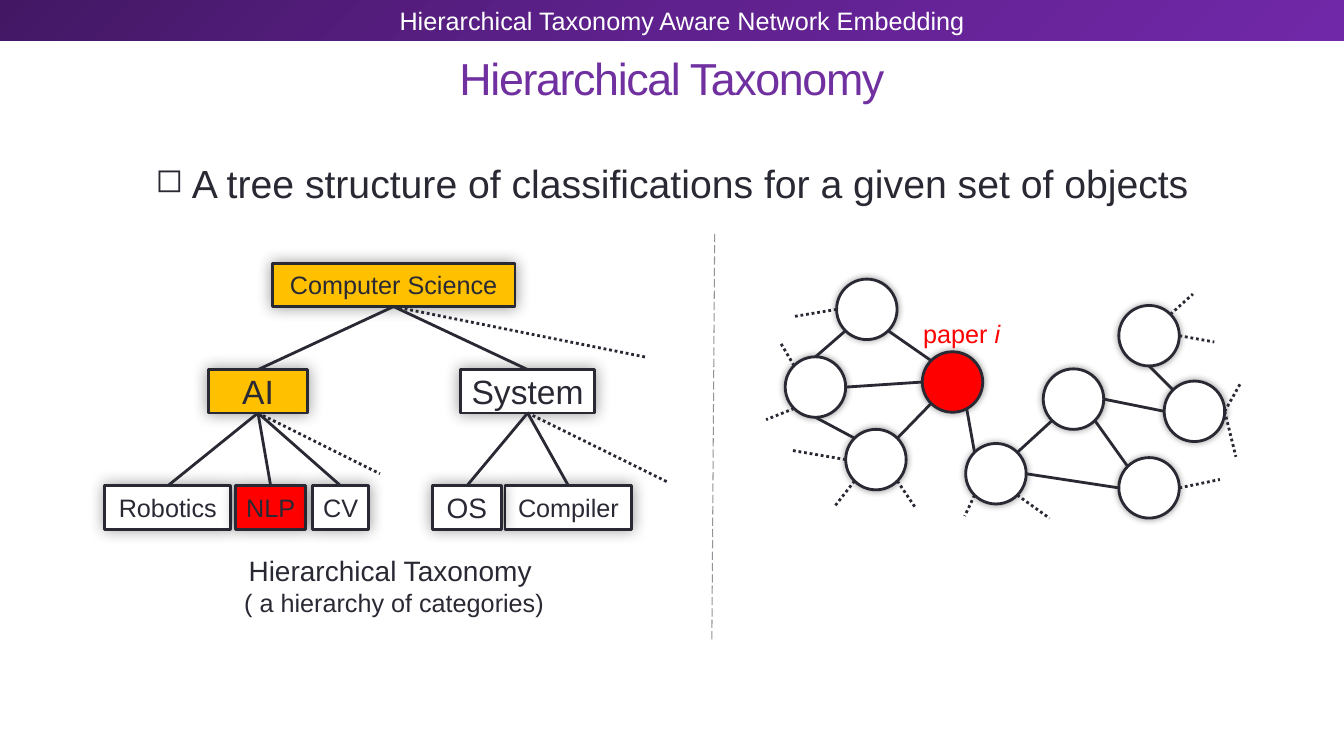
from copy import deepcopy
from math import cos, radians, sin
from lxml.etree import SubElement as Sub
from pptx import Presentation
from pptx.dml.color import RGBColor
from pptx.enum.dml import MSO_LINE as Dash
from pptx.enum.shapes import MSO_CONNECTOR as Link, MSO_SHAPE as Kind
from pptx.enum.text import MSO_ANCHOR as Anchor, PP_ALIGN as Align
from pptx.oxml.ns import qn
from pptx.util import Pt

INK, WHITE, RED, GOLD, PURPLE = "292934", "FFFFFF", "FF0000", "FFC000", "7030A0"
RADIUS = 21.6
ROW = 31


def paint(color, code):
    color.rgb = RGBColor.from_string(code)


def fade(color_tag, percent):
    Sub(color_tag, qn("a:alpha"), val=str(percent * 1000))


def write(par, text, size, code=INK, italic=False):
    run = par.add_run()
    run.text = text
    font = run.font
    font.name, font.size = "Arial", Pt(size)
    if italic:
        font.italic = True
    paint(font.color, code)
    return run


def text_box(slide, box, align=Align.CENTER, anchor=Anchor.TOP, wrap=True):
    frame = slide.shapes.add_textbox(*map(Pt, box)).text_frame
    frame.word_wrap, frame.vertical_anchor = wrap, anchor
    frame.paragraphs[0].alignment = align
    return frame


def block(slide, kind, box, code, blur):
    shape = slide.shapes.add_shape(kind, *map(Pt, box))
    shape.fill.solid()
    paint(shape.fill.fore_color, code)
    paint(shape.line.color, INK)
    shape.line.width = Pt(2)
    # soft glow-like shadow
    shape.shadow.inherit = False
    glow = Sub(shape._element.spPr.find(qn("a:effectLst")), qn("a:outerShdw"),
               blurRad=str(Pt(blur)), dist="0", dir="0", algn="ctr", rotWithShape="0")
    fade(Sub(glow, qn("a:srgbClr"), val="000000"), 40)
    return shape


def join(slide, start, end, width=2, dash=None):
    line = slide.shapes.add_connector(Link.STRAIGHT, *map(Pt, (*start, *end)))
    paint(line.line.color, INK)
    line.line.width = Pt(width)
    if dash:
        line.line.dash_style = dash
    Sub(line._element.spPr, qn("a:effectLst"))
    return line


def banner(slide, x, y, w, h):
    bar = slide.shapes.add_shape(Kind.RECTANGLE, *map(Pt, (x, y, w, h)))
    bar.shadow.inherit = False
    bar.line.fill.background()
    bar.fill.gradient()
    bar.fill.gradient_angle = 315
    stops = bar._element.spPr.find(".//" + qn("a:gsLst"))
    stops.append(deepcopy(stops[-1]))
    codes = ("431764", "5F218E", "7128A8")
    for stop, place, code in zip(bar.fill.gradient_stops, (0, 0.5, 1), codes):
        stop.position = place
        paint(stop.color, code)
    frame = text_box(slide, (x + 264, y + 1.5, 432, 26), Align.RIGHT, Anchor.MIDDLE)
    write(frame.paragraphs[0], "Hierarchical Taxonomy Aware Network Embedding", 18, WHITE)


def title(slide, *box):
    frame = text_box(slide, box, anchor=Anchor.MIDDLE)
    run = write(frame.paragraphs[0], "Hierarchical Taxonomy", 32, PURPLE)
    run._r.get_or_add_rPr().set("spc", "-100")


def claim(slide, *box):
    par = text_box(slide, box).paragraphs[0]
    props = par._p.get_or_add_pPr()
    props.set("marL", str(Pt(14.4)))
    props.set("indent", str(Pt(-14.4)))
    Sub(Sub(props, qn("a:buClr")), qn("a:srgbClr"), val=INK)
    Sub(props, qn("a:buSzPct"), val="85000")
    Sub(props, qn("a:buChar"), char="◻")
    write(par, " A tree structure of classifications for a given set of objects", 28)


def network(slide, x, y):
    nodes = {
        "a": (42.5, 96.5), "b": (85.7, 148.3), "c": (79.2, 41),
        "paper": (140.4, 92.9), "e": (171.4, 158.4), "f": (226.8, 105.1),
        "g": (280.8, 59.8), "h": (280.8, 168.5), "i": (313.2, 113.8)}
    # angles on the rim, clockwise from the right
    edges = [
        ("c", 45, "paper", 225), ("a", 0, "paper", 180), ("b", 315, "paper", 135),
        ("paper", 62, "e", 225), ("f", 135, "e", 315), ("c", 135, "a", 270),
        ("b", 225, "a", 90), ("h", 225, "f", 45), ("i", 225, "g", 90),
        ("i", 180, "f", 0), ("h", 180, "e", 0)]
    # dotted stubs: node, angle, reach
    stubs = [
        ("i", 0, 11, -19.5), ("i", 0, 8, 32.5), ("h", 0, 29, -6),
        ("g", 0, 25, 4.5), ("g", 315, 16, -14.5), ("b", 135, -14.5, 18.5),
        ("e", 135, -7, 15), ("b", 45, 12.5, 18.5), ("a", 135, -20, 8),
        ("b", 180, -38, -6.5), ("c", 180, -30, 5), ("a", 225, -9.5, -16),
        ("e", 45, 23, 16.5)]

    def rim(name, angle):
        cx, cy = nodes[name]
        turn = radians(angle)
        return x + cx + RADIUS * cos(turn), y + cy + RADIUS * sin(turn)

    for name, (cx, cy) in nodes.items():
        box = (x + cx - RADIUS, y + cy - RADIUS, 2 * RADIUS, 2 * RADIUS)
        block(slide, Kind.FLOWCHART_CONNECTOR, box, RED if name == "paper" else WHITE, 5)
    for one, out, two, into in edges:
        join(slide, rim(one, out), rim(two, into))
    for name, angle, dx, dy in stubs:
        px, py = rim(name, angle)
        join(slide, (px, py), (px + dx, py + dy), dash=Dash.ROUND_DOT)
    label = text_box(slide, (x + 112.3, y + 44, 70, 29), Align.LEFT, wrap=False)
    write(label.paragraphs[0], "paper ", 18, RED)
    write(label.paragraphs[0], "i", 18, RED, italic=True)


def tree(slide, x, y):
    # name, parent, left, top, width, text size, fill
    topics = [
        ("Computer Science", None, 124.4, 8, 173.5, 18, GOLD),
        ("AI", "Computer Science", 79, 84, 70.6, 24, GOLD),
        ("System", "Computer Science", 259, 84, 95.8, 24, WHITE),
        ("Robotics", "AI", 4.9, 167, 90, 18, WHITE),
        ("NLP", "AI", 98.5, 167, 49.7, 18, RED),
        ("CV", "AI", 153.2, 167, 40.3, 18, WHITE),
        ("Compiler", "System", 290.7, 167, 90.7, 18, WHITE),
        ("OS", "System", 239, 167, 49, 20, WHITE)]
    more = {"Computer Science": (390.8, 75), "AI": (201.4, 158.4), "System": (406.6, 164.2)}
    heads, feet = {}, {}
    for name, _, left, top, width, size, code in topics:
        shape = block(slide, Kind.RECTANGLE, (x + left, y + top, width, ROW), code, 11)
        frame = shape.text_frame
        frame.word_wrap, frame.vertical_anchor = False, Anchor.MIDDLE
        frame.paragraphs[0].alignment = Align.CENTER
        write(frame.paragraphs[0], name, size)
        mid = x + left + width / 2
        heads[name], feet[name] = (mid, y + top), (mid, y + top + ROW)
    for name, parent, *_ in topics:
        if parent:
            join(slide, feet[parent], heads[name])
    for name, (dx, dy) in more.items():
        join(slide, feet[name], (x + dx, y + dy), dash=Dash.ROUND_DOT)
    # caption
    frame = text_box(slide, (x + 96.3, y + 211.7, 230.4, 53), wrap=False)
    write(frame.paragraphs[0], "Hierarchical Taxonomy ", 20)
    second = frame.add_paragraph()
    second.alignment = Align.CENTER
    write(second, "( a hierarchy of categories)", 18)


def divider(slide, x, y, w, h):
    line = join(slide, (x + w, y), (x, y + h), 0.75, Dash.LONG_DASH)
    fade(line._element.spPr.find(".//" + qn("a:srgbClr")), 50)


def main():
    deck = Presentation()
    deck.slide_width, deck.slide_height = Pt(960), Pt(540)
    slide = deck.slides.add_slide(deck.slide_layouts[6])
    banner(slide, 0, 0, 960, 29)
    title(slide, 26.5, 37.5, 907, 36)
    network(slide, 540, 180)
    tree(slide, 70, 180)
    claim(slide, 93, 110, 774, 51)
    divider(slide, 508.5, 167, 2, 291)
    deck.save("out.pptx")


if __name__ == "__main__":
    main()
